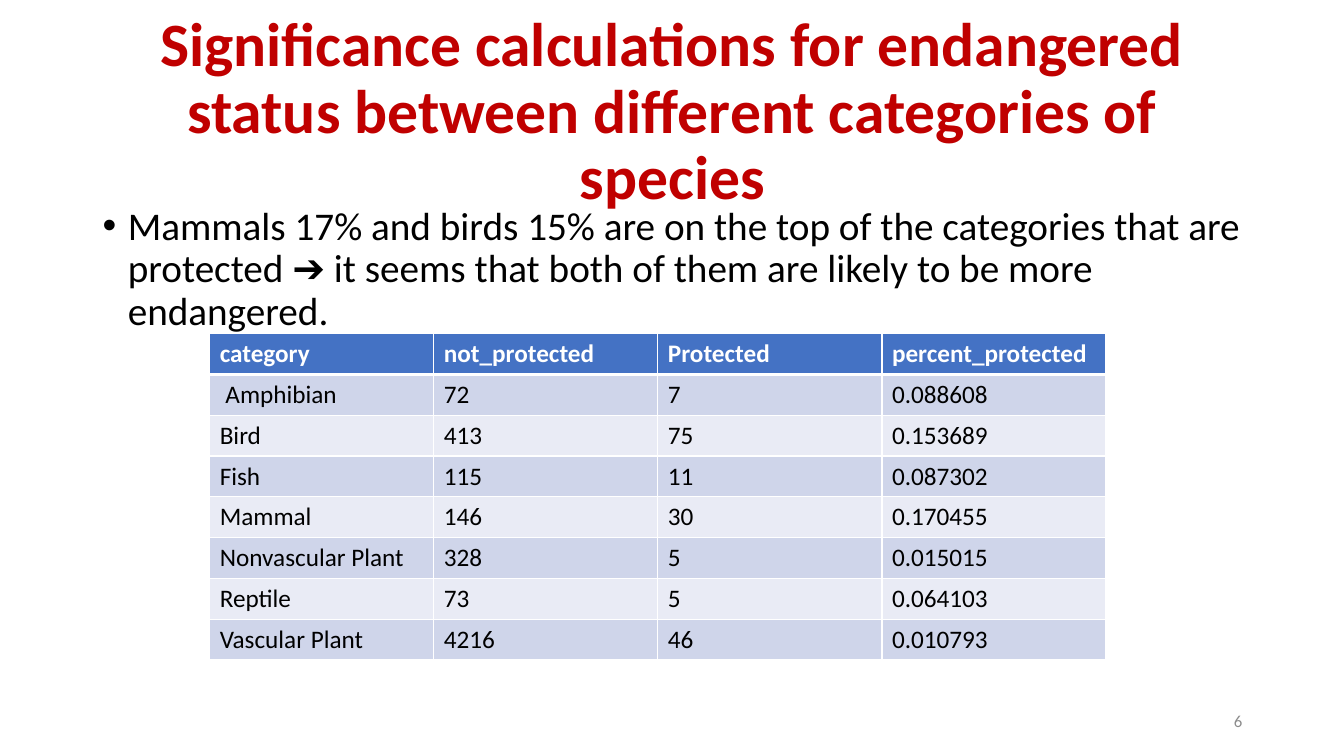
from lxml.etree import SubElement
from pptx import Presentation
from pptx.dml.color import RGBColor
from pptx.enum.text import MSO_ANCHOR, PP_ALIGN
from pptx.oxml.ns import qn
from pptx.util import Inches, Pt

FONT = "Calibri"
RED = RGBColor(0xC0, 0x00, 0x00)
BLACK = RGBColor(0x00, 0x00, 0x00)
WHITE = RGBColor(0xFF, 0xFF, 0xFF)
GREY = RGBColor(0x8C, 0x8C, 0x8C)
HEADER_BLUE = RGBColor(0x44, 0x72, 0xC4)
BANDS = (RGBColor(0xE9, 0xEB, 0xF5), RGBColor(0xCF, 0xD5, 0xEA))

TITLE = "Significance calculations for endangered status between different categories of species"
FINDING = (
    "Mammals 17% and birds 15% are on the top of the categories that are protected "
    "➔ it seems that both of them are likely to be more endangered."
)
SPECIES = [
    ("category", "not_protected", "Protected", "percent_protected"),
    (" Amphibian", "72", "7", "0.088608"),
    ("Bird", "413", "75", "0.153689"),
    ("Fish", "115", "11", "0.087302"),
    ("Mammal", "146", "30", "0.170455"),
    ("Nonvascular Plant", "328", "5", "0.015015"),
    ("Reptile", "73", "5", "0.064103"),
    ("Vascular Plant", "4216", "46", "0.010793"),
]


def style(para, size, color, bold=False):
    """Set the font of a whole paragraph."""
    font = para.font
    font.name, font.size, font.bold = FONT, Pt(size), bold
    font.color.rgb = color


def add_text(page, box, text, size, color, bold=False, align=PP_ALIGN.LEFT, anchor=MSO_ANCHOR.MIDDLE):
    """Add a wrapped one-paragraph text box and return its paragraph."""
    frame = page.shapes.add_textbox(*map(Inches, box)).text_frame
    frame.word_wrap = True
    frame.vertical_anchor = anchor
    para = frame.paragraphs[0]
    para.text, para.alignment = text, align
    style(para, size, color, bold)
    return para


def add_title(page, box):
    """Place the centred red heading."""
    add_text(page, box, TITLE, 44, RED, True, PP_ALIGN.CENTER).line_spacing = 0.9


def add_finding(page, box):
    """Place the bulleted finding with a hanging indent."""
    para = add_text(page, box, FINDING, 28, BLACK, anchor=MSO_ANCHOR.TOP)
    para.line_spacing, para.space_before = 0.9, Pt(10)
    properties = para._p.get_or_add_pPr()
    properties.set("marL", str(Inches(0.25)))
    properties.set("indent", str(-Inches(0.25)))
    SubElement(properties, qn("a:buFont"), typeface="Arial")
    SubElement(properties, qn("a:buChar"), char="•")


def add_borders(cell, widths):
    """Draw white borders of the given point widths by side."""
    properties = cell._tc.get_or_add_tcPr()
    for side, width in widths.items():
        line = SubElement(properties, qn(f"a:ln{side}"), w=str(Pt(width)))
        fill = SubElement(line, qn("a:solidFill"))
        SubElement(fill, qn("a:srgbClr"), val=str(WHITE))


def add_species_table(page, box):
    """Fill the box with the banded table of species categories."""
    row_count, column_count = len(SPECIES), len(SPECIES[0])
    table = page.shapes.add_table(row_count, column_count, *map(Inches, box)).table
    for row, values in enumerate(SPECIES):
        header = row == 0
        for column, value in enumerate(values):
            cell = table.cell(row, column)
            cell.text = value
            style(cell.text_frame.paragraphs[0], 18, WHITE if header else BLACK, header)
            add_borders(cell, {"L": 1, "R": 1, "T": 3 if row == 1 else 1, "B": 3 if header else 1})
            cell.fill.solid()
            cell.fill.fore_color.rgb = HEADER_BLUE if header else BANDS[row % 2]


def add_page_number(page, box):
    """Place the page number at the right of its box."""
    add_text(page, box, "6", 12, GREY, align=PP_ALIGN.RIGHT)


def main():
    """Build and save the slide."""
    deck = Presentation()
    deck.slide_width, deck.slide_height = Inches(13.33), Inches(7.5)
    page = deck.slides.add_slide(deck.slide_layouts[6])
    add_title(page, (0.92, 0.4, 11.5, 1.45))
    add_species_table(page, (2.08, 3.31, 8.89, 3.24))
    add_finding(page, (0.92, 2, 11.5, 5.1))
    add_page_number(page, (9.42, 6.95, 3, 0.4))
    deck.save("out.pptx")


if __name__ == "__main__":
    main()
